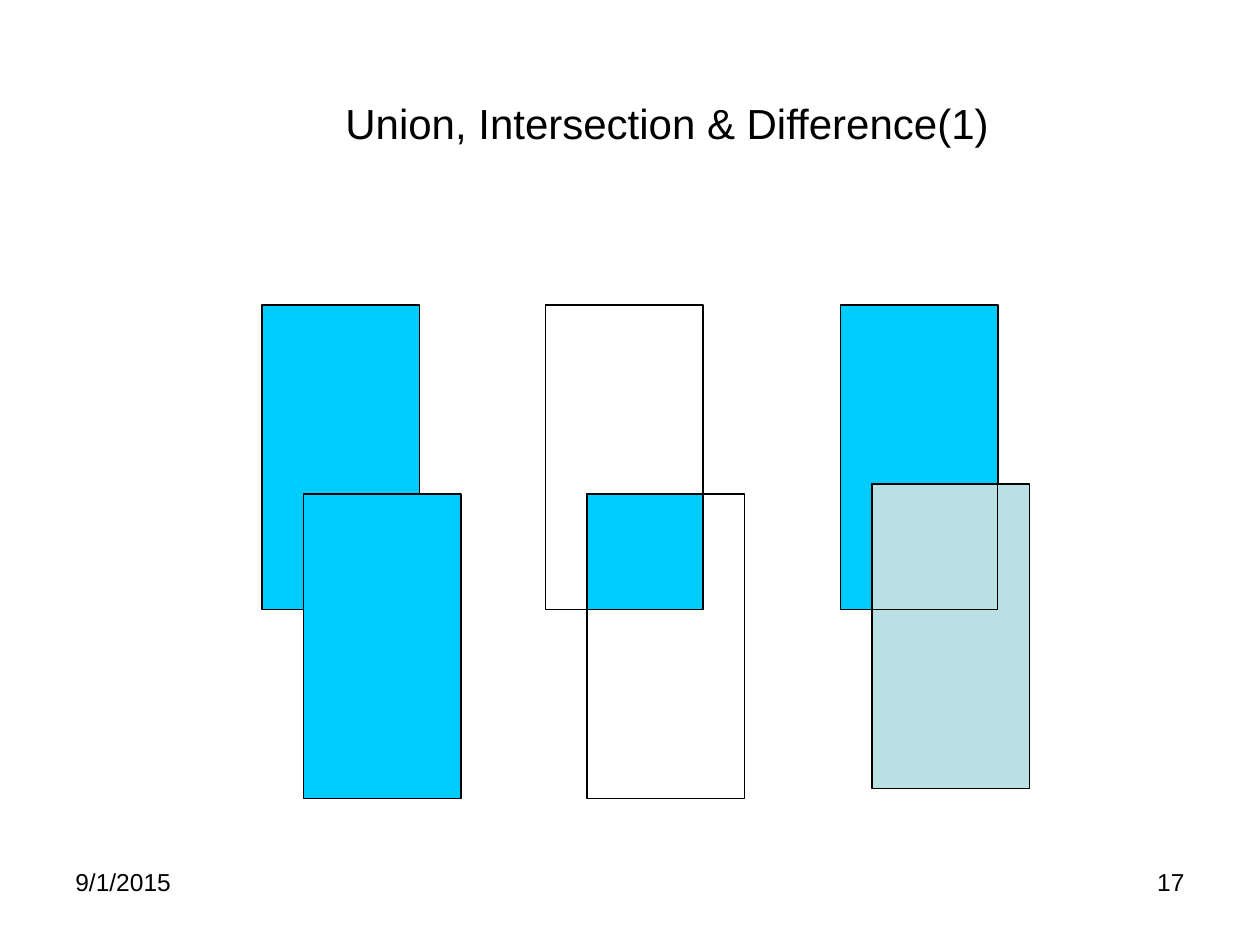
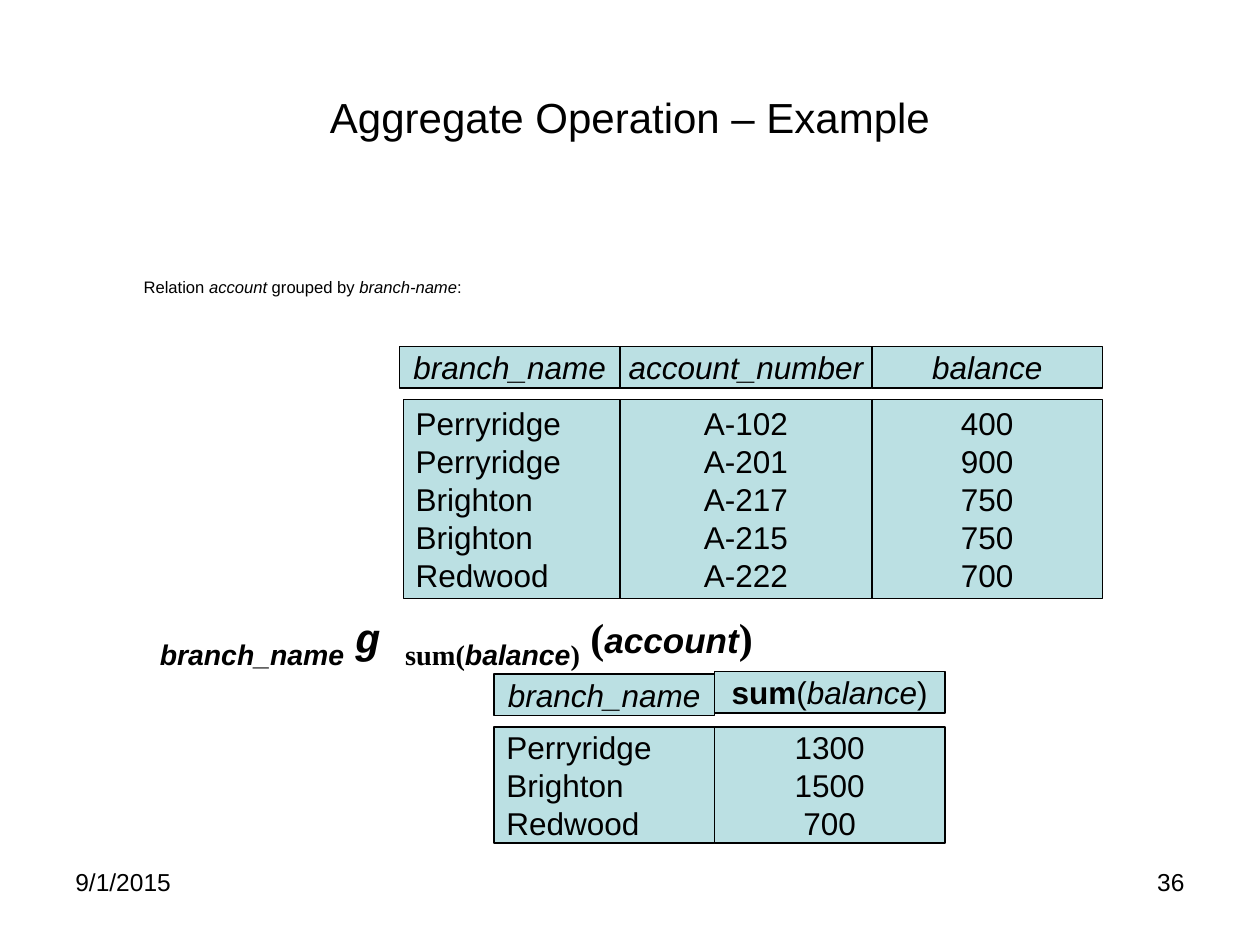
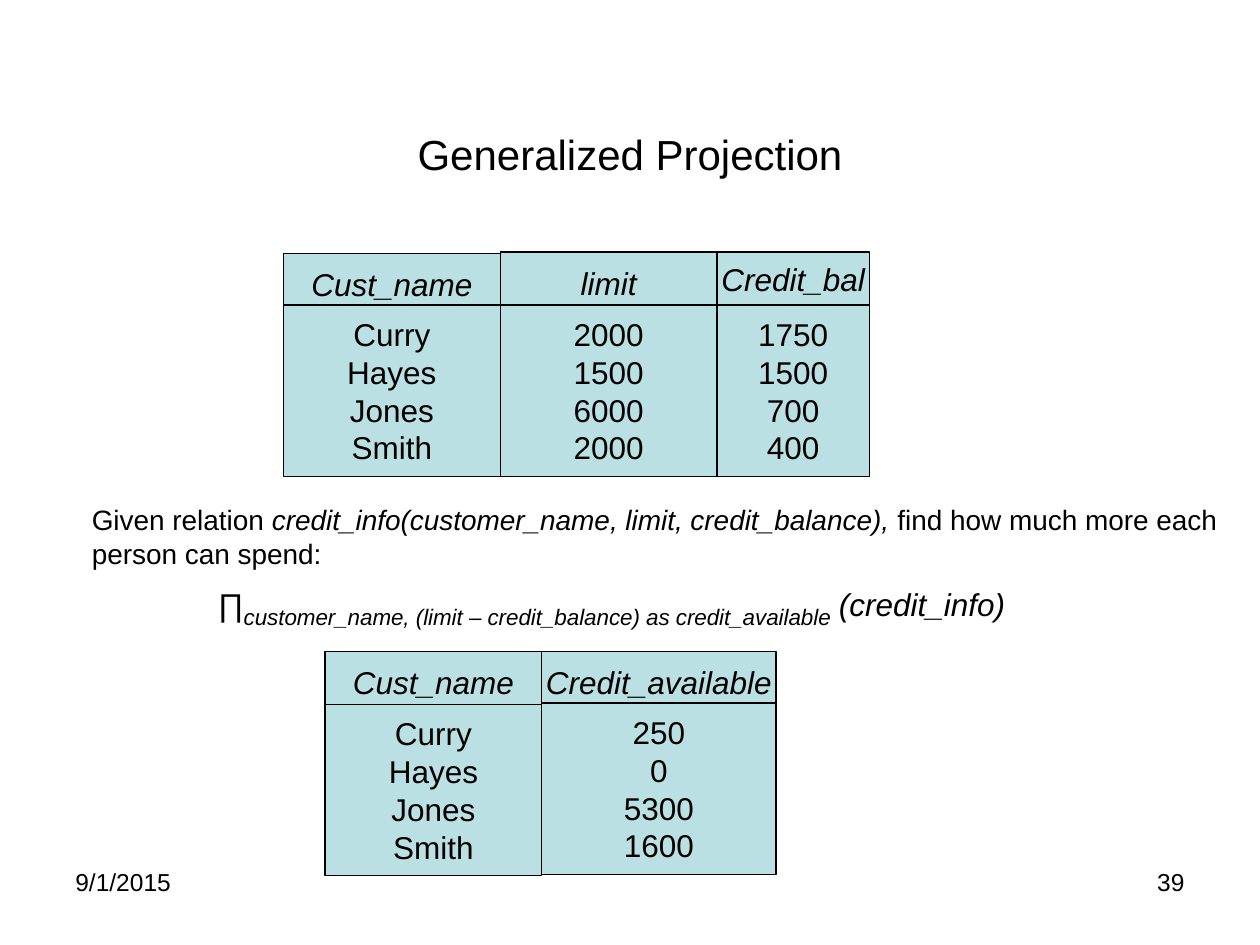
import dataclasses

import pptx
import pptx.dml.color
import pptx.enum.shapes
import pptx.enum.text
import pptx.util

Inches = pptx.util.Inches
Pt = pptx.util.Pt
ALIGN = pptx.enum.text.PP_ALIGN
ANCHOR = pptx.enum.text.MSO_ANCHOR

BLACK = "000000"
CYAN = "00CCFF"
PALE = "BBE0E3"
SANS = "Arial"
SERIF = "Times New Roman"
MONO = "Courier New"


@dataclasses.dataclass
class Run:
    text: str
    size: float = 18
    bold: bool = False
    ital: bool = False
    font: str = SANS
    sub: bool = False


@dataclasses.dataclass
class Column:
    """One column: a head box over a body box, each with a small shift."""
    width: float
    head: list
    lines: list
    align: int = ALIGN.CENTER
    tall: float = 0
    lift: float = 0
    shift: float = 0
    drop: float = 0


def color(code):
    return pptx.dml.color.RGBColor.from_string(code)


def add_run(para, item):
    run = para.add_run()
    run.text = item.text
    font = run.font
    font.name, font.size = item.font, Pt(item.size)
    font.bold, font.italic = item.bold, item.ital
    font.color.rgb = color(BLACK)
    if item.sub:
        run._r.get_or_add_rPr().set("baseline", "-25000")


def write(frame, paras, align=ALIGN.LEFT, anchor=ANCHOR.TOP, wrap=True):
    """Fill a text frame with paragraphs, each a list of runs."""
    frame.auto_size = pptx.enum.text.MSO_AUTO_SIZE.NONE
    frame.word_wrap = wrap
    frame.vertical_anchor = anchor
    frame.margin_left = frame.margin_right = Inches(0.1)
    frame.margin_top = frame.margin_bottom = Inches(0.05)
    for i, runs in enumerate(paras):
        para = frame.add_paragraph() if i else frame.paragraphs[0]
        para.alignment = align
        for item in runs:
            add_run(para, item)


def label(slide, box, paras, **style):
    shape = slide.shapes.add_textbox(*map(Inches, box))
    write(shape.text_frame, paras, **style)
    return shape.text_frame


def rect(slide, box, fill=None):
    kind = pptx.enum.shapes.MSO_SHAPE.RECTANGLE
    shape = slide.shapes.add_shape(kind, *map(Inches, box))
    shape.shadow.inherit = False
    if fill:
        shape.fill.solid()
        shape.fill.fore_color.rgb = color(fill)
    else:
        shape.fill.background()
    shape.line.color.rgb = color(BLACK)
    shape.line.width = Pt(0.75)
    return shape


def new_slide(deck, title, box, number):
    """Add a slide with its title, date and page number."""
    slide = deck.slides.add_slide(deck.slide_layouts[5])
    head = slide.shapes.title
    head.left, head.top, head.width, head.height = map(Inches, box)
    write(head.text_frame, [[Run(title, 24)]], ALIGN.CENTER, ANCHOR.MIDDLE)
    for left, text, align in ((7.17, number, ALIGN.RIGHT),
                              (0.5, "9/1/2015", ALIGN.LEFT)):
        label(slide, (left, 6.83, 2.33, 0.52), [[Run(text, 14)]], align=align)
    return slide


def cell(slide, box, paras, align):
    shape = rect(slide, box, PALE)
    write(shape.text_frame, paras, align, ANCHOR.MIDDLE, wrap=False)


def relation(slide, left, top, tall, skip, deep, cols):
    """Draw columns side by side; bodies start skip below top."""
    for col in cols:
        cell(slide, (left, top + col.lift, col.width, col.tall or tall),
             [col.head], ALIGN.CENTER)
        cell(slide, (left + col.shift, top + skip + col.drop, col.width, deep),
             [[Run(line)] for line in col.lines], col.align)
        left += col.width


def pair(slide, left, top, dx, dy, fills, shared=False, mid=None):
    """Draw two overlapping boxes and, if shared, their common part."""
    wide, high = 1.25, 2.42
    rect(slide, (left, top, wide, high), fills[0])
    rect(slide, (left + dx, top + dy, wide, high), fills[1])
    if shared:
        rect(slide, (left + dx, top + dy, wide - dx, high - dy), mid)


def sets_slide(deck):
    slide = new_slide(deck, "Union, Intersection & Difference(1)",
                      (0.83, 0.12, 8.93, 1.7), "17")
    top = 2.42
    pair(slide, 2.08, top, 0.33, 1.5, (CYAN, CYAN))
    pair(slide, 4.33, top, 0.33, 1.5, (None, None), True, CYAN)
    pair(slide, 6.67, top, 0.25, 1.42, (CYAN, PALE), True)


def total_slide(deck):
    slide = new_slide(deck, "Aggregate Operation – Example",
                      (0.5, 0.3, 9, 1.25), "36")
    note = label(slide, (0.67, 2.08, 9, 0.39), [[
        Run("Relation ", 9.5), Run("account", 9.5, ital=True),
        Run(" grouped by ", 9.5), Run("branch-name", 9.5, ital=True),
        Run(":", 9.5)]], anchor=ANCHOR.MIDDLE)
    note.margin_left = Inches(0.47)
    label(slide, (1.17, 4.75, 7.69, 0.64), [[
        Run("branch_name", 28, True, True, sub=True),
        Run(" ", 24, True, font=SERIF),
        Run("g ", 24, True, True, MONO),
        Run("sum(", 28, True, font=SERIF, sub=True),
        Run("balance", 28, True, True, sub=True),
        Run(")", 28, True, font=SERIF, sub=True),
        Run(" (", 24, True, font=SERIF),
        Run("account", 20, True, True),
        Run(")", 24, True, font=SERIF)]])
    branch = [Run("branch_name", ital=True)]
    relation(slide, 3.17, 2.75, 0.33, 0.42, 1.58, [
        Column(1.75, branch,
               ["Perryridge", "Perryridge", "Brighton", "Brighton", "Redwood"],
               ALIGN.LEFT, shift=0.03),
        Column(2, [Run("account_number", ital=True)],
               ["A-102", "A-201", "A-217", "A-215", "A-222"]),
        Column(1.83, [Run("balance", ital=True)],
               ["400", "900", "750", "750", "700"])])
    relation(slide, 3.92, 5.33, 0.33, 0.44, 0.92, [
        Column(1.75, branch, ["Perryridge", "Brighton", "Redwood"],
               ALIGN.LEFT, lift=0.02),
        Column(1.83, [Run("sum", bold=True), Run("("),
                      Run("balance", ital=True), Run(")")],
               ["1300", "1500", "700"])])


def credit_slide(deck):
    slide = new_slide(deck, "Generalized Projection",
                      (0.5, 0.89, 9, 0.66), "39")
    frame = label(slide, (0.25, 3.94, 9.75, 1.75), [
        [Run("Given relation ", 16),
         Run("credit_info(customer_name, limit, credit_balance),", 16,
             ital=True),
         Run(" find how much more each person can spend:", 16)],
        [Run("∏"),
         Run("customer_name, (limit – credit_balance) as credit_available", 22,
             ital=True, sub=True),
         Run(" (credit_info)", ital=True)]])
    for para, indent in zip(frame.paragraphs, (0.38, 1.38)):
        para._p.get_or_add_pPr().set("marL", str(Inches(indent)))
    frame.paragraphs[1].space_before = Pt(4.5)

    name = [Run("Cust_name", ital=True)]
    people = ["Curry", "Hayes", "Jones", "Smith"]
    relation(slide, 2.25, 2, 0.49, 0.42, 1.36, [
        Column(1.72, name, people, lift=0.01),
        Column(1.72, [Run("limit", ital=True)],
               ["2000", "1500", "6000", "2000"]),
        Column(1.21, [Run("Credit_bal", ital=True)],
               ["1750", "1500", "700", "400"], tall=0.42)])
    relation(slide, 2.58, 5.17, 0.49, 0.41, 1.36, [
        Column(1.72, name, people, drop=0.01),
        Column(1.86, [Run("Credit_available", ital=True)],
               ["250", "0", "5300", "1600"])])


def main():
    deck = pptx.Presentation()
    deck.slide_width, deck.slide_height = Inches(10), Inches(7.5)
    sets_slide(deck)
    total_slide(deck)
    credit_slide(deck)
    deck.save("out.pptx")


if __name__ == "__main__":
    main()
